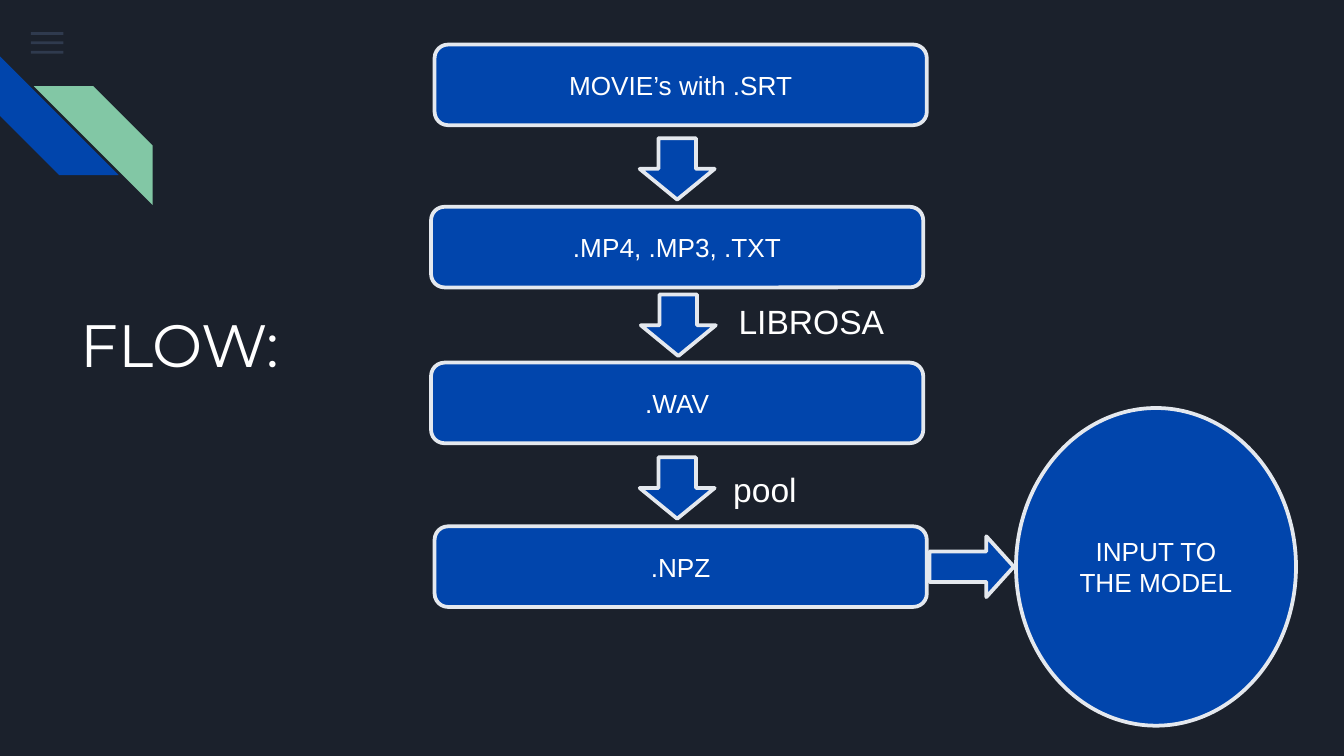
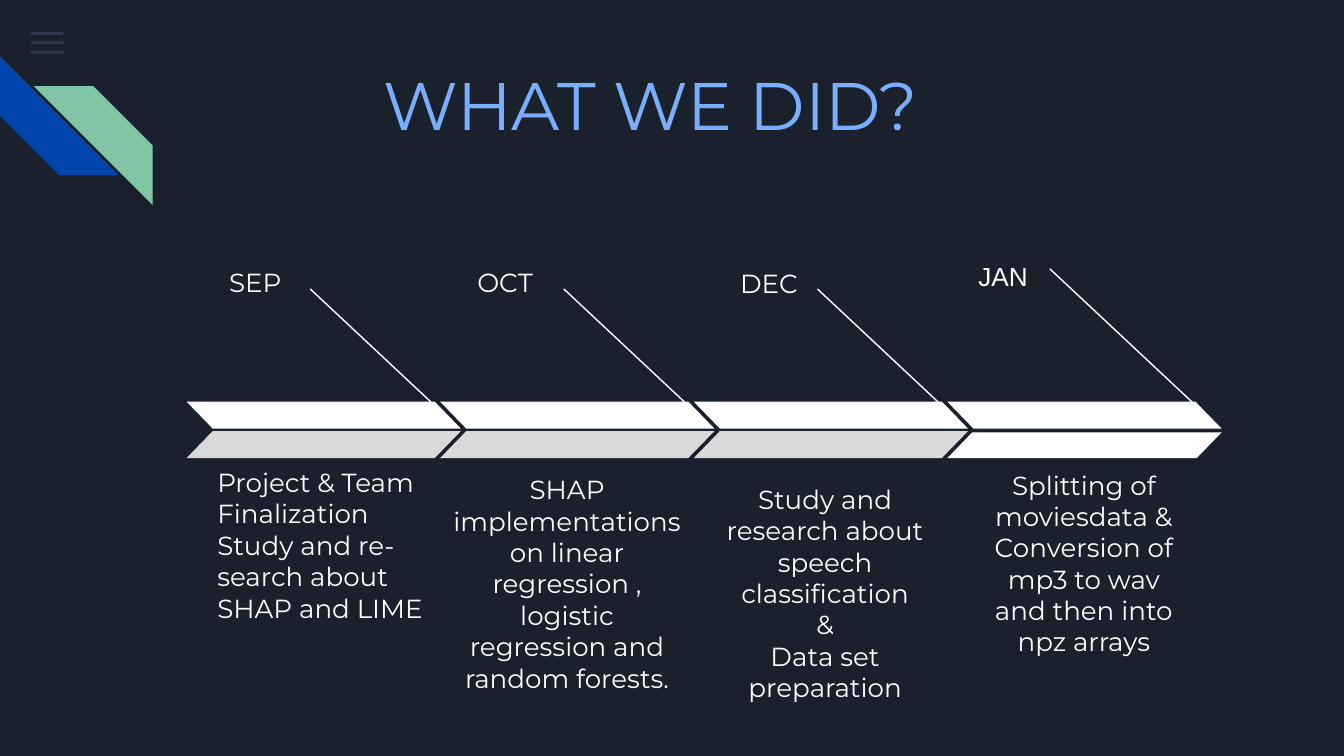
from lxml import etree
from pptx import Presentation
from pptx.dml.color import RGBColor
from pptx.enum.shapes import MSO_CONNECTOR, MSO_SHAPE
from pptx.enum.text import MSO_ANCHOR, MSO_AUTO_SIZE, PP_ALIGN
from pptx.oxml.ns import qn
from pptx.util import Pt

RECT, ROUND, OVAL = MSO_SHAPE.RECTANGLE, MSO_SHAPE.ROUNDED_RECTANGLE, MSO_SHAPE.OVAL
STRIPE, SLANT, DOWN = MSO_SHAPE.DIAGONAL_STRIPE, MSO_SHAPE.PARALLELOGRAM, MSO_SHAPE.DOWN_ARROW
LEFT, CENTER = PP_ALIGN.LEFT, PP_ALIGN.CENTER
TOP, MIDDLE, BOTTOM = MSO_ANCHOR.TOP, MSO_ANCHOR.MIDDLE, MSO_ANCHOR.BOTTOM
STRAIGHT = MSO_CONNECTOR.STRAIGHT
GROW = MSO_AUTO_SIZE.SHAPE_TO_FIT_TEXT

COLORS = {"back": "1B212C", "menu": "55688B", "blue": "0145AC", "green": "82C7A5",
          "edge": "E4E8EE", "white": "FFFFFF", "gray": "D9D9D9", "sky": "79AEFE"}
SANS, HEAD = "Arial", "Montserrat"


def color(name):
    return RGBColor.from_string(COLORS[name])


class Deck:
    def __init__(self):
        self.prs = Presentation()
        self.prs.slide_width, self.prs.slide_height = Pt(720), Pt(405)
        self.slide = None

    def page(self):
        self.slide = self.prs.slides.add_slide(self.prs.slide_layouts[6])
        fill = self.slide.background.fill
        fill.solid()
        fill.fore_color.rgb = color("back")
        for row in range(3):
            self.shape(RECT, (16.6, 17.2 + 5 * row, 17.4, 1.5), "menu", alpha=36)
        self.shape(STRIPE, (0, 30.2, 63.6, 63.6), "blue", turn=270, adj=[0.5])
        self.shape(STRIPE, (18.2, 46.2, 63.6, 63.6), "green", flip=True, adj=[0.5])

    def shape(self, kind, box, fill, edge=None, turn=0, flip=False, adj=(), alpha=None):
        shape = self.slide.shapes.add_shape(kind, *map(Pt, box))
        shape.shadow.inherit = False
        shape.fill.solid()
        shape.fill.fore_color.rgb = color(fill)
        if edge:
            shape.line.color.rgb = color(edge)
            shape.line.width = Pt(2)
        else:
            shape.line.fill.background()
        shape.rotation = turn
        for i, part in enumerate(adj):
            shape.adjustments[i] = part
        props = shape._element.spPr
        if flip:
            props.find(qn("a:xfrm")).set("flipH", "1")
        if alpha:
            tone = props.find(qn("a:solidFill")).find(qn("a:srgbClr"))
            etree.SubElement(tone, qn("a:alpha")).set("val", str(alpha * 1000))
        return shape

    def words(self, shape, lines, size, font, tint="white", align=LEFT, anchor=TOP, after=None):
        frame = shape.text_frame
        frame.word_wrap = True
        frame.vertical_anchor = anchor
        for i, line in enumerate(lines):
            para = frame.paragraphs[0] if i == 0 else frame.add_paragraph()
            para.alignment = align
            if after:
                para.space_after = Pt(after)
            run = para.add_run()
            run.text = line
            run.font.size, run.font.name = Pt(size), font
            run.font.color.rgb = color(tint)

    def text(self, box, lines, size, font, pad=7.2, foot=None, grow=False, **style):
        shape = self.slide.shapes.add_textbox(*map(Pt, box))
        frame = shape.text_frame
        frame.margin_left = frame.margin_right = Pt(7.2)
        frame.margin_top, frame.margin_bottom = Pt(pad), Pt(foot or pad)
        self.words(shape, lines, size, font, **style)
        if grow:
            frame.auto_size = GROW

    def title(self, box, label, size, tint):
        self.text(box, [label], size, HEAD, tint=tint, align=CENTER)

    def note(self, box, lines, size, font, **style):
        self.text(box, lines, size, font, pad=3.6, grow=True, **style)

    def node(self, kind, box, label):
        shape = self.shape(kind, box, "blue", edge="edge")
        self.words(shape, [label], 14, SANS, align=CENTER, anchor=MIDDLE)

    def arrow(self, box, **style):
        self.shape(DOWN, box, "blue", edge="edge", **style)

    def line(self, x, y, wide, high):
        line = self.slide.shapes.add_connector(
            STRAIGHT, Pt(x), Pt(y), Pt(x + wide), Pt(y + high))
        line.line.color.rgb = color("white")
        line.line.width = Pt(0.75)
        etree.SubElement(line._element.spPr, qn("a:effectLst"))


def flow(deck):
    deck.page()
    deck.title((11.5, 157.7, 170, 43.2), "FLOW:", 32, "white")
    for x, y, label in [(232.8, 23.9, "MOVIE’s with .SRT"), (230.9, 110.8, ".MP4, .MP3, .TXT"),
                        (230.9, 194.3, ".WAV"), (232.8, 282, ".NPZ")]:
        deck.node(ROUND, (x, y, 263.7, 43.2), label)
    for x, y in [(342.7, 74), (343.3, 157.8), (342.7, 245)]:
        deck.arrow((x, y, 40.2, 32.9))
    deck.arrow((504.2, 281, 32.6, 45.2), turn=270, adj=[0.5, 0.452])
    deck.node(OVAL, (544.3, 218.6, 150, 170.2), "INPUT TO THE MODEL")
    for x, y, label in [(388.6, 157.7, "LIBROSA"), (385.7, 247.9, "pool")]:
        deck.note((x, y, 131.8, 29), [label], 18, SANS)


def months(deck):
    deck.page()
    deck.title((186.5, 26.6, 324, 72), "WHAT WE DID?", 36, "sky")
    step, wide = 135.85, 146.9
    for i in range(4):
        x, last = 100 + i * step, i == 3
        start = (562.4, 144) if last else (166.2 + i * step, 154.8)
        low, high, tint = (231.7, 13.7, "white") if last else (231, 14.4, "gray")
        deck.line(*start, 79.2, 74.2)
        deck.shape(SLANT, (x, 215.2, wide, 14.4), "white", flip=True, adj=[0.97])
        deck.shape(SLANT, (x, low, wide, high), tint, adj=[0.97])

    for x, y, span, name in [(115.7, 135.4, 67, "SEP"), (248.6, 135.4, 70.6, "OCT"),
                             (389.4, 136, 67, "DEC")]:
        deck.text((x, y, span, 23.8), [name], 14, HEAD, after=16)
    deck.note((517, 136, 49, 24.5), ["JAN"], 14, SANS)

    deck.text((109.3, 258.5, 144.7, 99.4),
              ["Project & Team Finalization", "Study and re-search about SHAP and LIME"],
              14, HEAD, foot=24, anchor=BOTTOM)
    deck.text((233.3, 246.2, 141.1, 132.5),
              ["SHAP implementations on linear regression , logistic regression and random forests."],
              14, HEAD, align=CENTER, anchor=BOTTOM)
    deck.text((371.5, 258.5, 141.1, 125.3),
              ["Study and research about speech classification", "&", "Data set preparation"],
              14, HEAD, align=CENTER, anchor=BOTTOM)
    deck.note((518.4, 247.7, 124.6, 143.3),
              ["Splitting of moviesdata &", "Conversion of mp3 to wav and then into npz arrays"],
              14, HEAD, align=CENTER)


def main():
    deck = Deck()
    flow(deck)
    months(deck)
    deck.prs.save("out.pptx")


if __name__ == "__main__":
    main()
